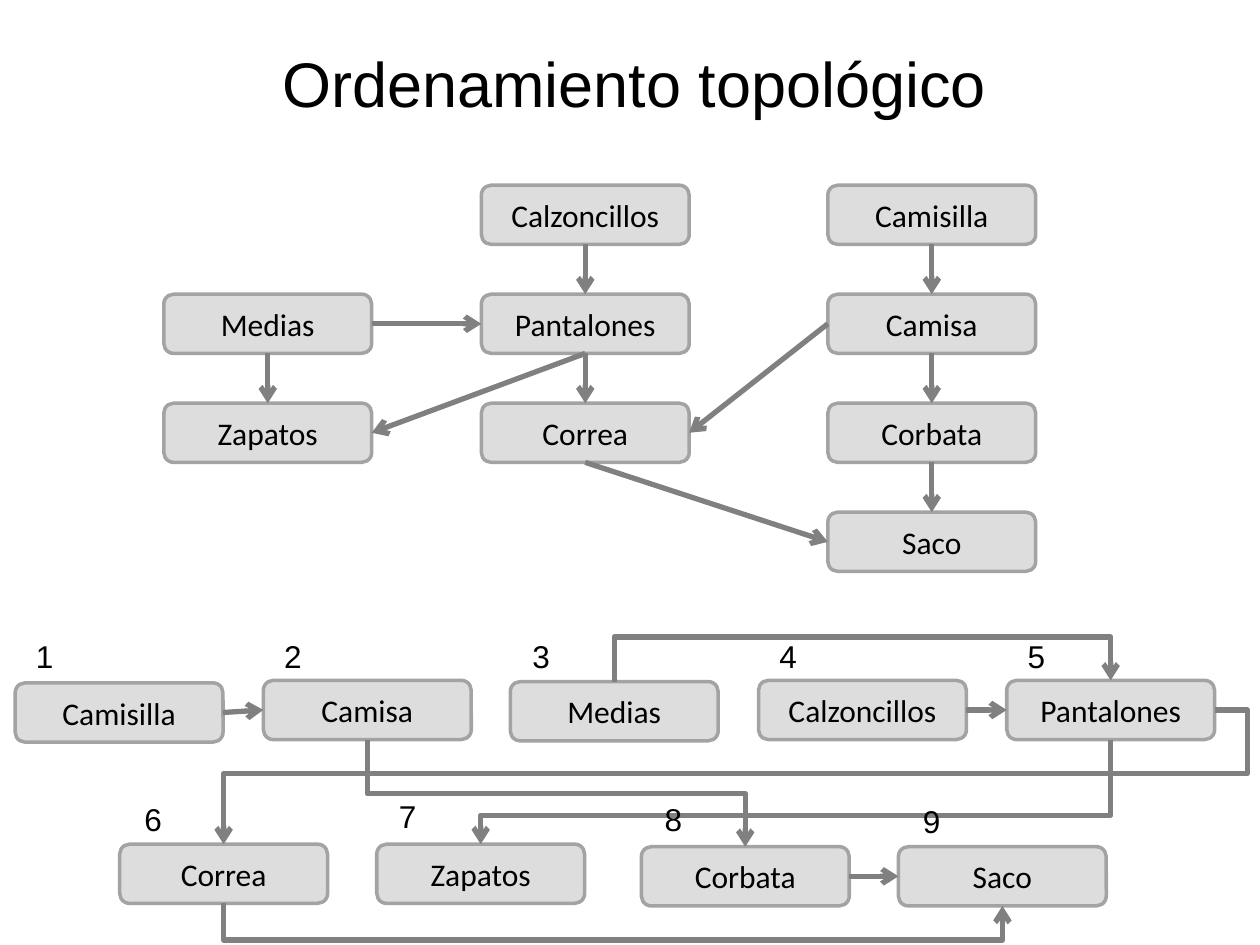
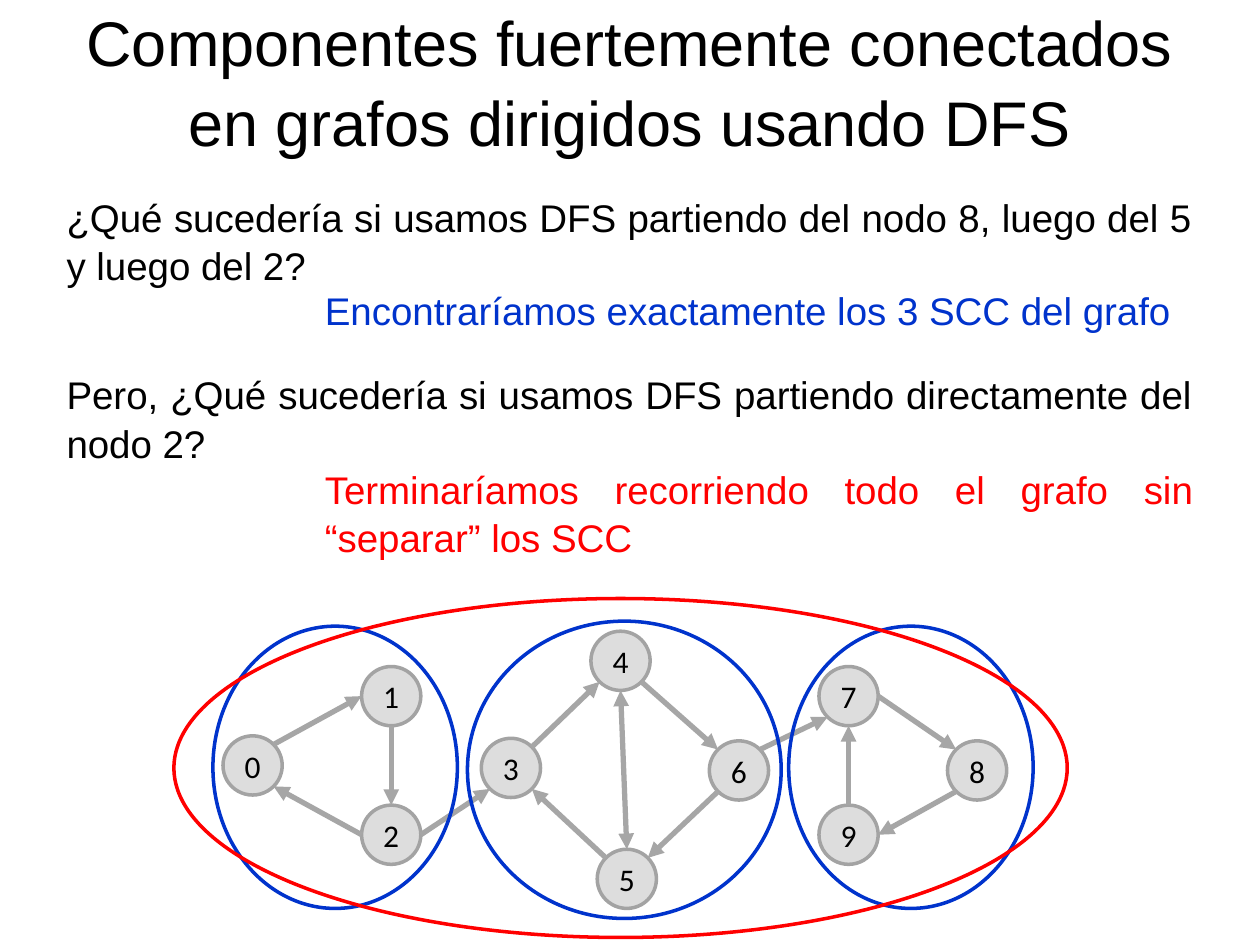
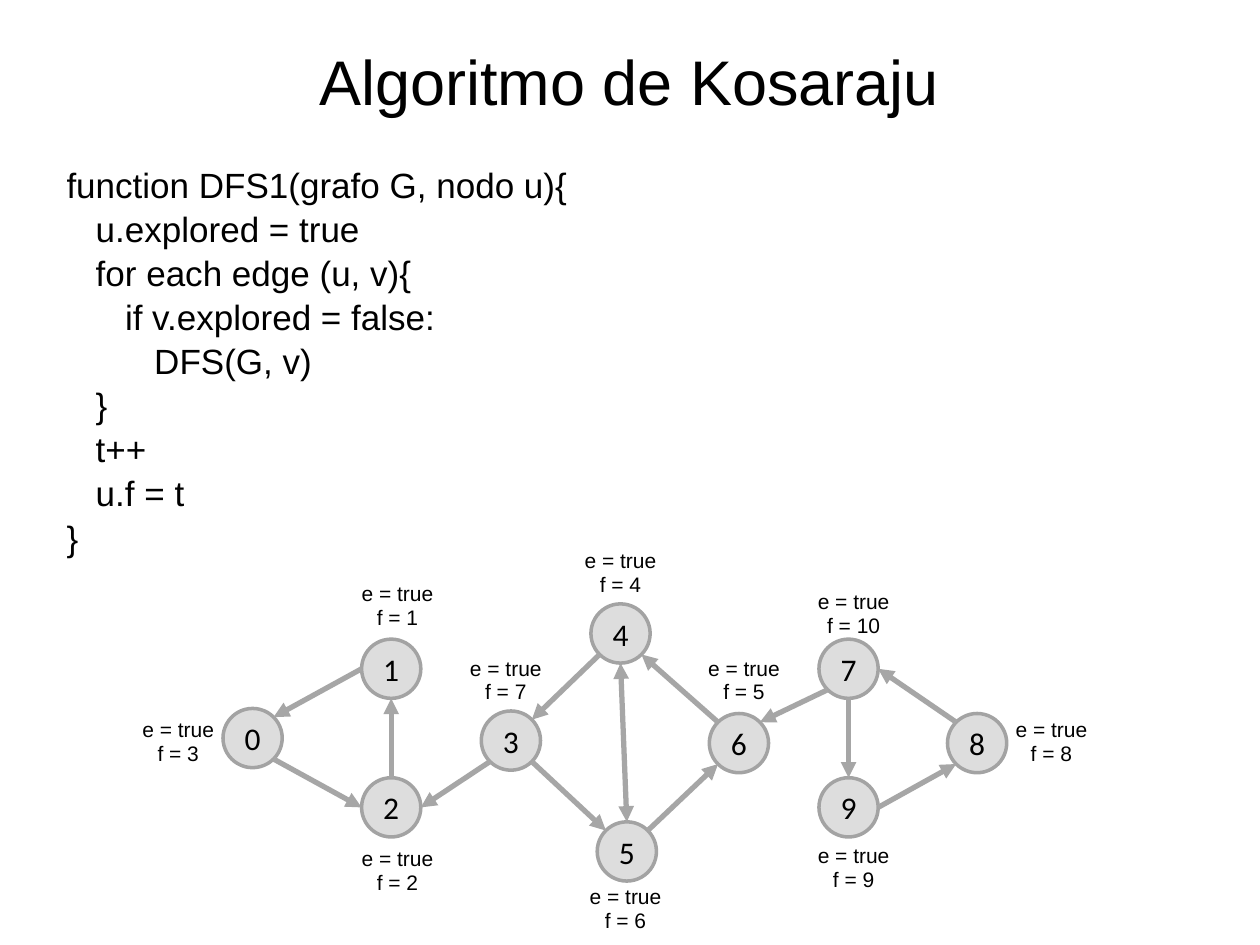
from dataclasses import dataclass
from math import sqrt
from typing import Any, NamedTuple, Optional

from lxml.etree import SubElement
from pptx import Presentation
from pptx.dml.color import RGBColor
from pptx.enum.shapes import MSO_CONNECTOR, MSO_SHAPE
from pptx.enum.text import MSO_ANCHOR, PP_ALIGN
from pptx.oxml.ns import qn
from pptx.slide import Slide
from pptx.util import Inches, Pt


@dataclass(frozen=True)
class Theme:
    """Colours, fonts and sizes shared by the slides."""

    ink: str = "000000"
    fill: str = "DDDDDD"
    rim: str = "A3A3A3"
    flow: str = "808080"
    edge: str = "A6A6A6"
    blue: str = "0033CC"
    red: str = "FF0000"
    sans: str = "Arial"
    label: str = "Calibri"
    title: float = 36
    body: float = 22
    code: float = 20
    node: float = 18
    note: float = 12
    thin: float = 2
    thick: float = 3
    lead: float = 1.05


THEME = Theme()
COLS, ROWS = 100, 75
WIDE, HIGH = Inches(10), Inches(7.5)
SLANT = 1 / sqrt(2)
SIDES = {
    "n": (0, -1), "s": (0, 1), "w": (-1, 0), "e": (1, 0),
    "nw": (-SLANT, -SLANT), "ne": (SLANT, -SLANT),
    "sw": (-SLANT, SLANT), "se": (SLANT, SLANT),
}


class Spot(NamedTuple):
    """A point on the grid."""

    x: float
    y: float


@dataclass(frozen=True)
class Box:
    """An area in columns and rows of the grid."""

    x: float
    y: float
    w: float
    h: float

    def side(self, name: str) -> Spot:
        """Give the point of the rim at a compass side."""
        dx, dy = SIDES[name]
        return Spot(self.x + self.w * (1 + dx) / 2,
                    self.y + self.h * (1 + dy) / 2)

    def frame(self) -> tuple[int, int, int, int]:
        """Give the area in slide lengths."""
        return across(self.x), down(self.y), across(self.w), down(self.h)


class Link(NamedTuple):
    """An arrow between sides of two named items."""

    start: str
    out: str
    end: str
    into: str
    both: bool = False


class Bend(NamedTuple):
    """A stepped arrow with its level row and optional outer column."""

    link: Link
    row: float
    col: Optional[float] = None


class Step(NamedTuple):
    """A garment in sorted order with the place of its number."""

    name: str
    x: float
    y: float
    tag: Spot


class Mark(NamedTuple):
    """A node with its place and its finish note."""

    x: float
    y: float
    note: Spot
    time: int


class Say(NamedTuple):
    """A passage of body text."""

    text: str
    box: Box
    tint: str


BOX_W, BOX_H, NODE = 16.5, 4.7, 4.7
STACKS = (
    (13, 1, ("Medias", "Zapatos")),
    (38.2, 0, ("Calzoncillos", "Pantalones", "Correa")),
    (65.7, 0, ("Camisilla", "Camisa", "Corbata", "Saco")),
)
NEEDS = (
    Link("Calzoncillos", "s", "Pantalones", "n"),
    Link("Pantalones", "s", "Correa", "n"),
    Link("Camisilla", "s", "Camisa", "n"),
    Link("Camisa", "s", "Corbata", "n"),
    Link("Corbata", "s", "Saco", "n"),
    Link("Camisa", "w", "Correa", "e"),
    Link("Medias", "s", "Zapatos", "n"),
    Link("Pantalones", "s", "Zapatos", "e"),
    Link("Correa", "s", "Saco", "w"),
    Link("Medias", "e", "Pantalones", "w"),
)
STEPS = (
    Step("Camisilla", 1.2, 54.2, Spot(1.2, 50.1)),
    Step("Camisa", 20.9, 54, Spot(20.9, 50.1)),
    Step("Medias", 40.5, 54.1, Spot(40.6, 50.1)),
    Step("Calzoncillos", 60.2, 54, Spot(60.2, 50.1)),
    Step("Pantalones", 79.9, 54, Spot(79.9, 50.1)),
    Step("Correa", 9.5, 67, Spot(9.8, 63)),
    Step("Zapatos", 29.9, 67, Spot(30, 62.8)),
    Step("Corbata", 50.9, 67.2, Spot(51.1, 63)),
    Step("Saco", 71.3, 67.2, Spot(71.6, 63.2)),
)
NEXT = (
    Link("Calzoncillos", "e", "Pantalones", "w"),
    Link("Camisilla", "e", "Camisa", "w"),
    Link("Corbata", "e", "Saco", "w"),
)
BENDS = (
    Bend(Link("Medias", "n", "Pantalones", "n"), 50.5),
    Bend(Link("Pantalones", "s", "Zapatos", "n"), 64.7),
    Bend(Link("Pantalones", "e", "Correa", "n"), 61.4, 99),
    Bend(Link("Correa", "s", "Saco", "s"), 74.6),
    Bend(Link("Camisa", "s", "Corbata", "n"), 63),
)
MARKS = {
    "0": Mark(17.7, 58.4, Spot(9.8, 56.4), 3),
    "1": Mark(28.7, 52.9, Spot(27.2, 45.6), 1),
    "2": Mark(28.7, 63.9, Spot(27.2, 66.6), 2),
    "3": Mark(38.2, 58.6, Spot(35.8, 51.5), 7),
    "4": Mark(46.9, 50.1, Spot(44.9, 43), 4),
    "5": Mark(47.4, 67.4, Spot(45.3, 69.6), 6),
    "6": Mark(56.3, 58.8, Spot(54.7, 51.5), 5),
    "7": Mark(65, 52.9, Spot(63.4, 46.2), 10),
    "8": Mark(75.2, 58.8, Spot(79.1, 56.4), 8),
    "9": Mark(65, 63.9, Spot(63.4, 66.4), 9),
}
EDGES = (
    Link("0", "ne", "1", "w"), Link("1", "s", "2", "n"),
    Link("2", "w", "0", "se"), Link("7", "e", "8", "nw"),
    Link("9", "n", "7", "s"), Link("8", "sw", "9", "e"),
    Link("3", "ne", "4", "sw"), Link("5", "nw", "3", "se"),
    Link("4", "se", "6", "nw"), Link("6", "sw", "5", "ne"),
    Link("4", "s", "5", "n", True), Link("2", "e", "3", "sw"),
    Link("6", "ne", "7", "sw"),
)
RINGS = (
    (Box(16.9, 49.7, 19.4, 22.4), THEME.blue),
    (Box(62.6, 49.7, 19.4, 22.4), THEME.blue),
    (Box(37.1, 49.3, 24.9, 23.6), THEME.blue),
    (Box(13.8, 47.5, 70.9, 26.9), THEME.red),
)
TALK = (
    Say("¿Qué sucedería si usamos DFS partiendo del nodo 8, luego del 5 "
        "y luego del 2?", Box(4.3, 14.7, 91.3, 8.7), THEME.ink),
    Say("Encontraríamos exactamente los 3 SCC del grafo",
        Box(24.8, 22.1, 70.9, 4.3), THEME.blue),
    Say("Pero, ¿Qué sucedería si usamos DFS partiendo directamente del "
        "nodo 2?", Box(4.3, 28.8, 91.3, 8.7), THEME.ink),
    Say("Terminaríamos recorriendo todo el grafo sin “separar” los SCC",
        Box(24.8, 36.3, 70.9, 8.3), THEME.red),
)
CODE = (
    (0, "function DFS1(grafo G, nodo u){"),
    (1, "u.explored = true"),
    (1, "for each edge (u, v){"),
    (2, "if v.explored = false:"),
    (3, "DFS(G, v)"),
    (1, "}"),
    (1, "t++"),
    (1, "u.f = t"),
    (0, "}"),
)


def across(cols: float) -> int:
    """Turn columns into a length."""
    return round(WIDE * cols / COLS)


def down(rows: float) -> int:
    """Turn rows into a length."""
    return round(HIGH * rows / ROWS)


def style(frame: Any, size: float, font: str, tint: str, align: Any,
          lead: float = 1) -> None:
    """Format every paragraph and run of a text frame."""
    for para in frame.paragraphs:
        para.alignment = align
        para.line_spacing = lead
        for run in para.runs:
            run.font.size = Pt(size)
            run.font.name = font
            run.font.color.rgb = RGBColor.from_string(tint)


def write(slide: Slide, text: str, box: Box, size: float,
          tint: str = THEME.ink, align: Any = PP_ALIGN.CENTER,
          lead: float = 1, anchor: Any = MSO_ANCHOR.TOP) -> Any:
    """Add a wrapped text box and return its frame."""
    frame = slide.shapes.add_textbox(*box.frame()).text_frame
    frame.word_wrap = True
    frame.vertical_anchor = anchor
    frame.text = text
    style(frame, size, THEME.sans, tint, align, lead)
    return frame


def head(slide: Slide, text: str, box: Box) -> None:
    """Add the slide title."""
    write(slide, text, box, THEME.title, lead=THEME.lead,
          anchor=MSO_ANCHOR.BOTTOM)


def outline(slide: Slide, kind: Any, box: Box, tint: str) -> Any:
    """Add an unfilled shape with a thin line."""
    shape = slide.shapes.add_shape(kind, *box.frame())
    shape.shadow.inherit = False
    shape.fill.background()
    shape.line.color.rgb = RGBColor.from_string(tint)
    shape.line.width = Pt(THEME.thin)
    return shape


def block(slide: Slide, kind: Any, text: str, box: Box) -> None:
    """Add a grey shape with a centred label."""
    shape = outline(slide, kind, box, THEME.rim)
    shape.fill.solid()
    shape.fill.fore_color.rgb = RGBColor.from_string(THEME.fill)
    frame = shape.text_frame
    frame.margin_left = frame.margin_right = 0
    frame.margin_top = frame.margin_bottom = 0
    frame.word_wrap = False
    frame.vertical_anchor = MSO_ANCHOR.MIDDLE
    frame.text = text
    style(frame, THEME.node, THEME.label, THEME.ink, PP_ALIGN.CENTER)


def arrow(slide: Slide, kind: Any, start: Spot, end: Spot, tint: str,
          tips: dict[str, str]) -> Any:
    """Add a line with arrow tips and return its properties."""
    line = slide.shapes.add_connector(
        kind, across(start.x), down(start.y), across(end.x), down(end.y))
    line.line.color.rgb = RGBColor.from_string(tint)
    line.line.width = Pt(THEME.thick)
    props = line._element.spPr
    for name, tip in tips.items():
        SubElement(props.find(qn("a:ln")), qn(f"a:{name}"), type=tip)
    SubElement(props, qn("a:effectLst"))
    return props


def ends(link: Link, boxes: dict[str, Box]) -> tuple[Spot, Spot]:
    """Give both end points of a link."""
    return boxes[link.start].side(link.out), boxes[link.end].side(link.into)


def flow(slide: Slide, link: Link, boxes: dict[str, Box]) -> None:
    """Draw a straight arrow between two garments."""
    arrow(slide, MSO_CONNECTOR.STRAIGHT, *ends(link, boxes), THEME.flow,
          {"tailEnd": "arrow"})


def bent(slide: Slide, bend: Bend, boxes: dict[str, Box]) -> None:
    """Draw a stepped arrow between two garments."""
    start, end = ends(bend.link, boxes)
    dx, dy = end.x - start.x, end.y - start.y
    ratios = [(bend.row - start.y) / dy]
    half_w, half_h = abs(dx) / 2, abs(dy) / 2
    if bend.col is not None:
        ratios.insert(0, (bend.col - start.x) / dx)
        turn, flip_h, flip_v = 0, dx < 0, dy < 0
    else:
        half_w, half_h = half_h, half_w
        turn = 270 if dx > 0 and dy > 0 else 90
        flip_h, flip_v = dx > 0, dx > 0 and dy < 0
    mid = Spot((start.x + end.x) / 2, (start.y + end.y) / 2)
    props = arrow(slide, MSO_CONNECTOR.ELBOW,
                  Spot(mid.x - half_w, mid.y - half_h),
                  Spot(mid.x + half_w, mid.y + half_h),
                  THEME.flow, {"tailEnd": "arrow"})
    place = props.find(qn("a:xfrm"))
    place.set("rot", str(turn * 60000))
    place.set("flipH", str(int(flip_h)))
    place.set("flipV", str(int(flip_v)))
    geom = props.find(qn("a:prstGeom"))
    geom.set("prst", f"bentConnector{len(ratios) + 2}")
    guides = geom.find(qn("a:avLst"))
    if guides is None:
        guides = SubElement(geom, qn("a:avLst"))
    for rank, ratio in enumerate(ratios, 1):
        SubElement(guides, qn("a:gd"), name=f"adj{rank}",
                   fmla=f"val {round(ratio * 100000)}")


def graph(slide: Slide, lift: float, tip: str) -> None:
    """Draw the ten nodes and their edges."""
    boxes = {name: Box(mark.x, mark.y - lift, NODE, NODE)
             for name, mark in MARKS.items()}
    for name, box in boxes.items():
        block(slide, MSO_SHAPE.OVAL, name, box)
    for link in EDGES:
        names = ("headEnd", "tailEnd") if link.both else (tip,)
        arrow(slide, MSO_CONNECTOR.STRAIGHT, *ends(link, boxes), THEME.edge,
              dict.fromkeys(names, "triangle"))


def sorting(slide: Slide) -> None:
    """Draw the garment graph and its sorted order."""
    head(slide, "Ordenamiento topológico", Box(4.3, 2.9, 92.1, 7.1))
    needs = {name: Box(x, 14.7 + 8.65 * row, BOX_W, BOX_H)
             for x, first, names in STACKS
             for row, name in enumerate(names, first)}
    order = {step.name: Box(step.x, step.y, BOX_W, BOX_H) for step in STEPS}
    for boxes, links in ((needs, NEEDS), (order, NEXT)):
        for name, box in boxes.items():
            block(slide, MSO_SHAPE.ROUNDED_RECTANGLE, name, box)
        for link in links:
            flow(slide, link, boxes)
    for bend in BENDS:
        bent(slide, bend, order)
    for rank, step in enumerate(STEPS, 1):
        write(slide, str(rank), Box(*step.tag, 4.7, 4), THEME.node)


def parts(slide: Slide) -> None:
    """Draw the strongly linked parts of the graph."""
    head(slide, "Componentes fuertemente conectados en grafos dirigidos "
         "usando DFS", Box(4.3, 1.3, 91.3, 11.8))
    graph(slide, 0, "tailEnd")
    for say in TALK:
        write(slide, say.text, say.box, THEME.body, say.tint,
              PP_ALIGN.JUSTIFY, THEME.lead)
    for box, tint in RINGS:
        outline(slide, MSO_SHAPE.OVAL, box, tint)


def search(slide: Slide) -> None:
    """Draw the code and the reversed graph with its notes."""
    head(slide, "Algoritmo de Kosaraju", Box(4.3, 3.6, 91.3, 6.3))
    frame = write(slide, "\n".join(text for _, text in CODE),
                  Box(4.3, 12.3, 89, 30.7), THEME.code,
                  align=PP_ALIGN.JUSTIFY, lead=THEME.lead)
    for para, (depth, _) in zip(frame.paragraphs, CODE):
        para._p.get_or_add_pPr().set("marL", str(across(2.32 * depth)))
    graph(slide, 2.17, "headEnd")
    for mark in MARKS.values():
        for row, text in enumerate(("e = true", f"f = {mark.time}")):
            write(slide, text,
                  Box(mark.note.x, mark.note.y + 1.9 * row, 8.7, 3),
                  THEME.note)


def main() -> None:
    """Build and save the slides."""
    deck = Presentation()
    deck.slide_width, deck.slide_height = WIDE, HIGH
    for draw in (sorting, parts, search):
        draw(deck.slides.add_slide(deck.slide_layouts[6]))
    deck.save("out.pptx")


if __name__ == "__main__":
    main()
